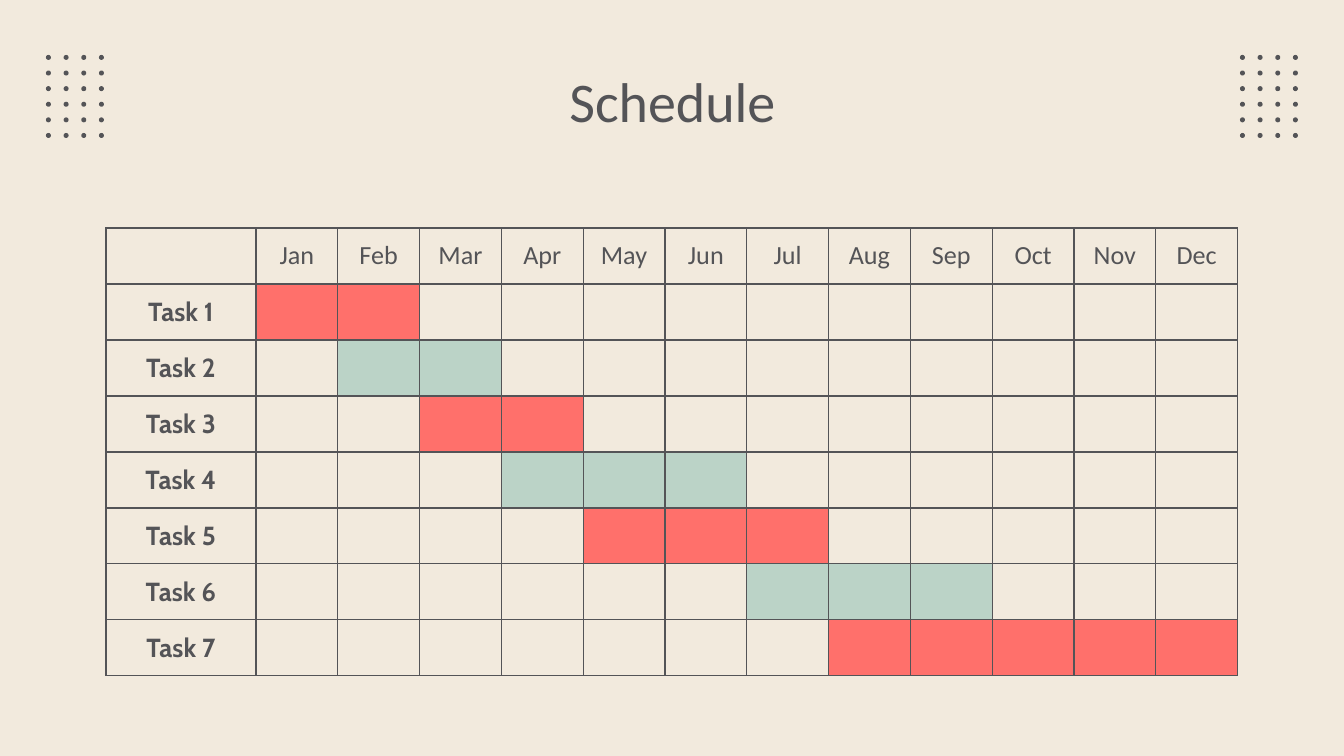
from lxml import etree
from pptx import Presentation
from pptx.dml.color import RGBColor
from pptx.enum.shapes import MSO_SHAPE
from pptx.enum.text import MSO_ANCHOR, MSO_AUTO_SIZE, PP_ALIGN
from pptx.oxml.ns import qn
from pptx.util import Pt

PX = 9144000 / 1344
OVAL = MSO_SHAPE.OVAL
CENTER = PP_ALIGN.CENTER
TOP = MSO_ANCHOR.TOP
MIDDLE = MSO_ANCHOR.MIDDLE
NO_AUTOFIT = MSO_AUTO_SIZE.NONE

INK, PAPER, CORAL, SAGE = "545457", "F2EADD", "FF706B", "BBD3C7"
MONTHS = ["Jan", "Feb", "Mar", "Apr", "May", "Jun",
          "Jul", "Aug", "Sep", "Oct", "Nov", "Dec"]
TASK_MONTHS = [(1, 2), (2, 3), (3, 4), (4, 6), (5, 7), (7, 9), (8, 12)]


def emu(*lengths):
    return [round(length * PX) for length in lengths]


def write(frame, text, size=14, font="Calibri", bold=False):
    para = frame.paragraphs[0]
    para.alignment = CENTER
    span = para.add_run()
    span.text = text
    span.font.size = Pt(size)
    span.font.name = font
    span.font.bold = bold
    span.font.color.rgb = RGBColor.from_string(INK)


deck = Presentation()
deck.slide_width, deck.slide_height = emu(1344, 756)
page = deck.slides.add_slide(deck.slide_layouts[5])
page.background.fill.solid()
page.background.fill.fore_color.rgb = RGBColor.from_string(PAPER)

for left in (46, 1240):
    for row in range(6):
        for column in range(4):
            box = emu(left + column * 53 / 3, 55 + row * 78 / 5, 5, 5)
            dot = page.shapes.add_shape(OVAL, *box)
            dot.shadow.inherit = False
            dot.fill.solid()
            dot.fill.fore_color.rgb = RGBColor.from_string(INK)
            dot.line.fill.background()

title = page.shapes.title
title.left, title.top, title.width, title.height = emu(106, 54, 1133, 85)
frame = title.text_frame
frame.auto_size = NO_AUTOFIT
frame.vertical_anchor = TOP
frame.margin_left, frame.margin_top, frame.margin_right, frame.margin_bottom = emu(13, 12, 13, 13)
write(frame, "Schedule", size=30)

row_count, column_count = len(TASK_MONTHS) + 1, len(MONTHS) + 1
holder = page.shapes.add_table(row_count, column_count, *emu(106, 228, 1132, 448))
table = holder.table
table.first_row = False
table.horz_banding = False
label_width, month_width, row_height = emu(150, (1132 - 150) / 12, 56)
for index, column in enumerate(table.columns):
    column.width = month_width if index else label_width
for row in table.rows:
    row.height = row_height

for row in range(row_count):
    for column in range(column_count):
        cell = table.cell(row, column)
        cell.vertical_anchor = MIDDLE
        cell.margin_left = cell.margin_right = cell.margin_top = cell.margin_bottom = 0
        properties = cell._tc.get_or_add_tcPr()
        for side in ("a:lnL", "a:lnR", "a:lnT", "a:lnB"):
            border = etree.SubElement(properties, qn(side), w=str(Pt(0.75)))
            paint = etree.SubElement(border, qn("a:solidFill"))
            etree.SubElement(paint, qn("a:srgbClr"), val=INK)
        cell.fill.background()
        if row and column:
            first, last = TASK_MONTHS[row - 1]
            if first <= column <= last:
                cell.fill.solid()
                cell.fill.fore_color.rgb = RGBColor.from_string(CORAL if row % 2 else SAGE)
        elif column:
            write(cell.text_frame, MONTHS[column - 1])
        elif row:
            write(cell.text_frame, f"Task {row}", font="Cabin", bold=True)

deck.save("out.pptx")
